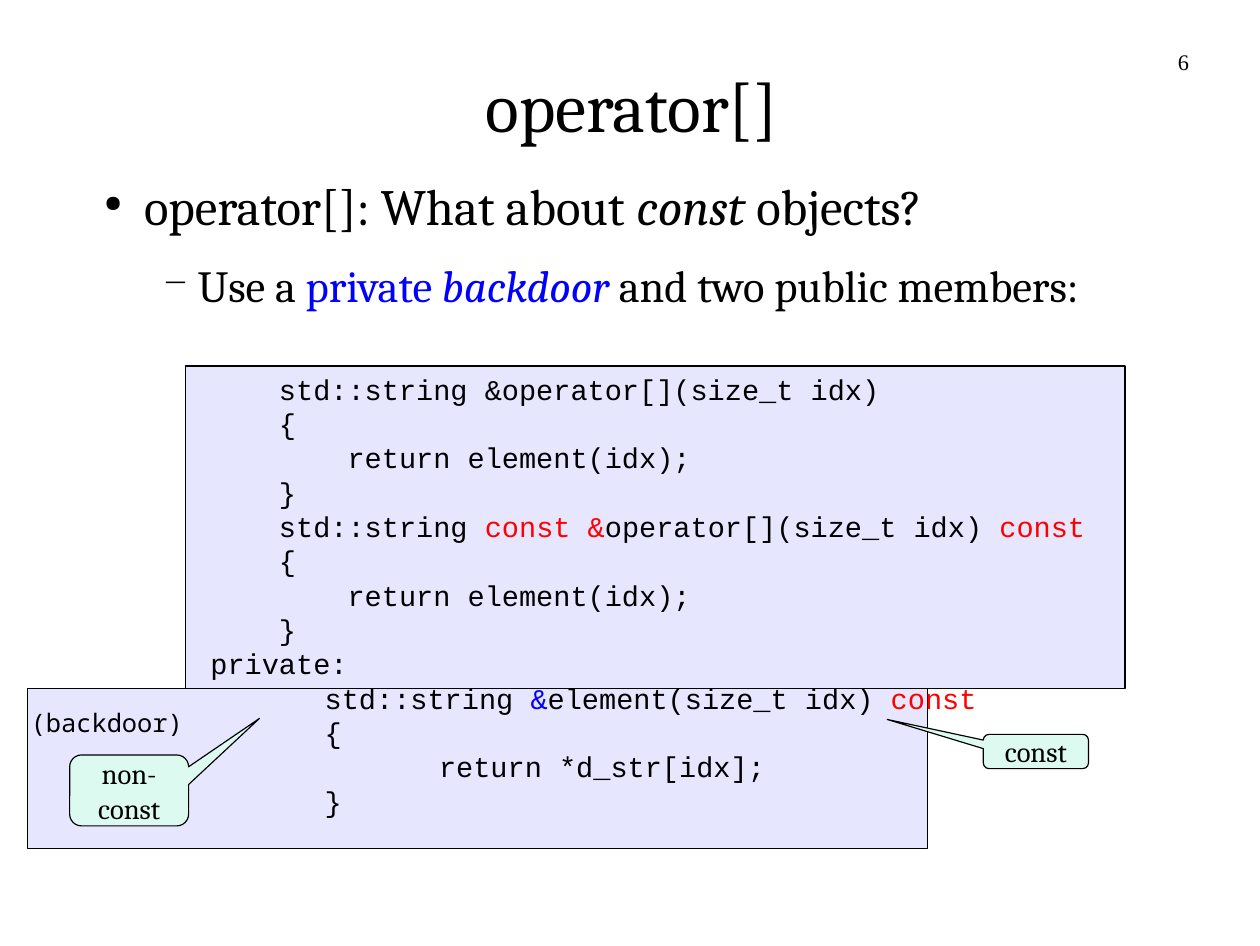
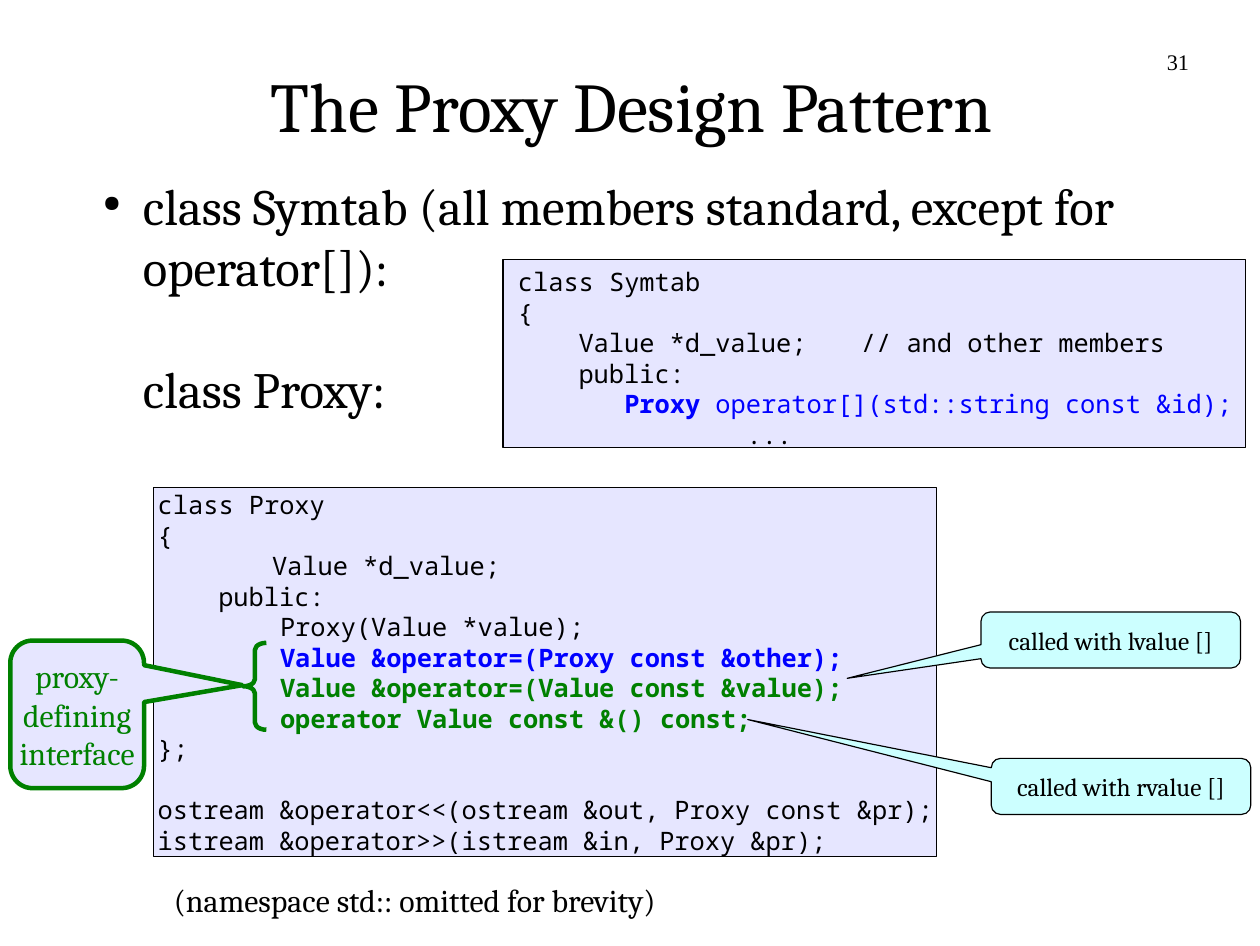
from dataclasses import dataclass

from lxml import etree
from pptx import Presentation
from pptx import util as u
from pptx.dml.color import RGBColor
from pptx.enum import shapes, text
from pptx.oxml.ns import qn

I = u.Inches


@dataclass(frozen=True)
class Theme:
    ink: str = "000000"
    blue: str = "0000FF"
    red: str = "FF0000"
    green: str = "008000"
    panel: str = "E6E6FF"
    mint: str = "DCFAF0"
    aqua: str = "CCFFFF"
    serif: str = "Cambria"
    courier: str = "Courier New"
    mono: str = "Noto Sans Mono"
    number: str = "Times New Roman"
    title: int = 44
    body: int = 32
    sub: int = 28
    note: int = 20
    code: int = 18
    small: int = 16
    page: int = 14
    hairline: float = 0
    bold_line: float = 2.83


T = Theme()
LEFT, CENTER, RIGHT = (getattr(text.PP_ALIGN, a) for a in ("LEFT", "CENTER", "RIGHT"))
BLUE, RED = {"color": T.blue}, {"color": T.red}
BOLD_BLUE = {"color": T.blue, "bold": True}
BOLD_GREEN = {"color": T.green, "bold": True}


def write(p, runs, **base):
    """Add runs, each a string or (string, format overrides), to a paragraph."""
    for run in [runs] if isinstance(runs, str) else runs:
        words, extra = (run, {}) if isinstance(run, str) else run
        fmt = {"color": T.ink, **base, **extra}
        r = p.add_run()
        r.text = words
        r.font.color.rgb = RGBColor.from_string(fmt.pop("color"))
        fmt["size"] = u.Pt(fmt["size"])
        for name, value in fmt.items():
            setattr(r.font, name, value)


def set_frame(tf, inset=0, wrap=True, anchor=text.MSO_ANCHOR.TOP):
    fmt = {"word_wrap": wrap, "auto_size": text.MSO_AUTO_SIZE.NONE,
           "vertical_anchor": anchor}
    fmt |= {f"margin_{side}": I(inset) for side in ("left", "top", "right", "bottom")}
    for name, value in fmt.items():
        setattr(tf, name, value)


def paragraphs(tf, count):
    return [tf.paragraphs[0]] + [tf.add_paragraph() for _ in range(count - 1)]


def text_box(s, box, **frame):
    tf = s.shapes.add_textbox(*map(I, box)).text_frame
    set_frame(tf, **frame)
    return tf


def label(s, box, words, font, size, align=LEFT):
    p = text_box(s, box).paragraphs[0]
    p.alignment = align
    write(p, words, name=font, size=size)


def base_slide(prs, title, number):
    s = prs.slides.add_slide(prs.slide_layouts[5])
    sp = s.shapes.title
    sp.left, sp.top, sp.width, sp.height = map(I, (0.82, 0.22, 9.41, 1.38))
    set_frame(sp.text_frame, anchor=text.MSO_ANCHOR.MIDDLE)
    p = sp.text_frame.paragraphs[0]
    p.alignment = CENTER
    write(p, title, name=T.serif, size=T.title)
    label(s, (7.83, 0.42, 2.57, 0.57), number, T.number, T.page, RIGHT)
    return s


def body(s, box, items):
    """Items are (runs, size, left margin, hanging, bullet, bullet percent, space after)."""
    tf = text_box(s, box)
    for p, (runs, size, margin, hang, bullet, percent, after) in zip(
            paragraphs(tf, len(items)), items):
        write(p, runs, name=T.serif, size=size)
        p.space_after = u.Pt(after)
        pPr = p._p.get_or_add_pPr()
        pPr.set("marL", str(I(margin)))
        pPr.set("indent", str(-I(hang)))
        if bullet:
            color = etree.SubElement(pPr, qn("a:buClr"))
            etree.SubElement(color, qn("a:srgbClr"), val=T.ink)
            etree.SubElement(pPr, qn("a:buSzPct"), val=str(percent * 1000))
            etree.SubElement(pPr, qn("a:buChar"), char=bullet)


def shape(s, kind, box, fill=None, line=T.ink, width=T.hairline):
    sp = s.shapes.add_shape(kind, *map(I, box))
    sp.shadow.inherit = False
    if fill:
        sp.fill.solid()
        sp.fill.fore_color.rgb = RGBColor.from_string(fill)
    else:
        sp.fill.background()
    sp.line.color.rgb = RGBColor.from_string(line)
    sp.line.width = u.Pt(width)
    return sp


def panel(s, box):
    shape(s, shapes.MSO_SHAPE.RECTANGLE, box, T.panel)


def listing(s, box, lines, font, size, tab=None, gap_before=None):
    """Lines are (indent in inches, runs); gap_before is the line set apart."""
    tf = text_box(s, box)
    for i, (p, (indent, runs)) in enumerate(zip(paragraphs(tf, len(lines)), lines)):
        write(p, runs, name=font, size=size)
        if i == gap_before:
            p.space_before = u.Pt(1.2 * size)
        pPr = p._p.get_or_add_pPr()
        pPr.set("marL", "0")
        pPr.set("indent", str(I(indent)))
        if tab:
            tabs = etree.SubElement(pPr, qn("a:tabLst"))
            etree.SubElement(tabs, qn("a:tab"), pos=str(I(tab)), algn="l")


def callout(s, box, tip, lines, fill, size, color=T.ink, width=T.hairline,
            inset=0, wrap=False):
    """Rounded callout whose pointer ends at the slide position tip."""
    line = color if width else T.ink
    sp = shape(s, shapes.MSO_SHAPE.ROUNDED_RECTANGULAR_CALLOUT, box, fill, line, width)
    for i in (0, 1):
        sp.adjustments[i] = (tip[i] - box[i]) / box[i + 2] - 0.5
    set_frame(sp.text_frame, inset, wrap, text.MSO_ANCHOR.MIDDLE)
    for p, words in zip(paragraphs(sp.text_frame, len(lines)), lines):
        p.alignment = CENTER
        write(p, words, name=T.serif, size=size, color=color)


def operator_slide(prs):
    s = base_slide(prs, "operator[]", "6")
    panel(s, (1.62, 3.2, 8.22, 2.82))
    panel(s, (0.24, 6.02, 7.87, 1.4))
    body(s, (0.79, 1.53, 9.41, 1.5), [
        (["operator[]: What about ", ("const ", {"italic": True}), "objects?"],
         T.body, 0.47, 0.35, "●", 45, 14.1),
        (["Use a ", ("private ", BLUE), ("backdoor ", {**BLUE, "italic": True}),
          "and two public members:"], T.sub, 0.94, 0.31, "−", 75, 11.3),
    ])
    member = [(0.6, "{"), (1.2, "return element(idx);"), (0.6, "}")]
    listing(s, (1.84, 3.25, 7.9, 4.22), [
        (0.6, "std::string &operator[](size_t idx)"),
        *member,
        (0.6, ["std::string ", ("const &", RED), "operator[](size_t idx) ",
               ("const", RED)]),
        *member,
        (0, "private:"),
        (1, ["std::string", (" &", BLUE), "element(size_t idx) ", ("const", RED)]),
        (1, "{"),
        (2, "return *d_str[idx];"),
        (1, "}"),
    ], T.courier, T.code)
    callout(s, (0.61, 6.6, 1.04, 0.62), (2.27, 6.28), ["non-const"], T.mint, T.code,
            wrap=True)
    callout(s, (8.6, 6.42, 0.92, 0.3), (7.76, 6.29), ["const"], T.mint, T.code)
    label(s, (0.27, 6.18, 1.5, 0.26), "(backdoor)", T.mono, T.small)


def proxy_slide(prs):
    s = base_slide(prs, "The Proxy Design Pattern", "31")
    panel(s, (1.34, 4.26, 6.85, 3.23))
    panel(s, (4.4, 2.27, 6.49, 1.64))
    body(s, (0.78, 1.53, 9.41, 2.3), [
        ("class Symtab (all members standard, except for operator[]):",
         T.body, 0.47, 0.35, "●", 45, 38.2),
        ("class Proxy:", T.body, 0.47, 0, None, None, 14.1),
    ])
    listing(s, (4.53, 2.33, 6.45, 1.56), [
        (0, "class Symtab"),
        (0, "{"),
        (0.53, "Value *d_value;\t// and other members"),
        (0.53, "public:"),
        (0.93, [("Proxy", BOLD_BLUE), (" operator[](std::string const &id);", BLUE)]),
        (2, "..."),
    ], T.mono, T.small, tab=3)
    listing(s, (1.38, 4.28, 7, 3.12), [
        (0, "class Proxy"),
        (0, "{"),
        (1, "Value *d_value;"),
        (0.53, "public:"),
        (1.07, "Proxy(Value *value);"),
        (1.07, [("Value &operator=(Proxy const &other);", BOLD_BLUE)]),
        (1.07, [("Value &operator=(Value const &value);", BOLD_GREEN)]),
        (1.07, [("operator Value const &() const;", BOLD_GREEN)]),
        (0, "};"),
        (0, "ostream &operator<<(ostream &out, Proxy const &pr);"),
        (0, "istream &operator>>(istream &in, Proxy &pr);"),
    ], T.mono, T.small, gap_before=9)
    brace = shape(s, shapes.MSO_SHAPE.LEFT_BRACE, (2.13, 5.62, 0.2, 0.76),
                  line=T.green, width=T.bold_line)
    brace.adjustments[0] = 0.31
    callout(s, (0.09, 5.6, 1.17, 1.29), (2.12, 5.99), ["proxy-", "defining", "interface"],
            T.panel, T.note, T.green, T.bold_line, inset=0.02)
    for left, top, tip, kind in ((8.67, 6.63, (6.54, 6.29), "rvalue"),
                                 (8.58, 5.35, (7.41, 5.93), "lvalue")):
        callout(s, (left, top, 2.27, 0.49), tip, [f"called with {kind} []"],
                T.aqua, T.small)
    label(s, (1.52, 7.7, 5.24, 0.38), "(namespace std:: omitted for brevity)",
          T.serif, T.note)


def main():
    prs = Presentation()
    prs.slide_width, prs.slide_height = I(11.02), I(8.27)
    operator_slide(prs)
    proxy_slide(prs)
    prs.save("out.pptx")


if __name__ == "__main__":
    main()
